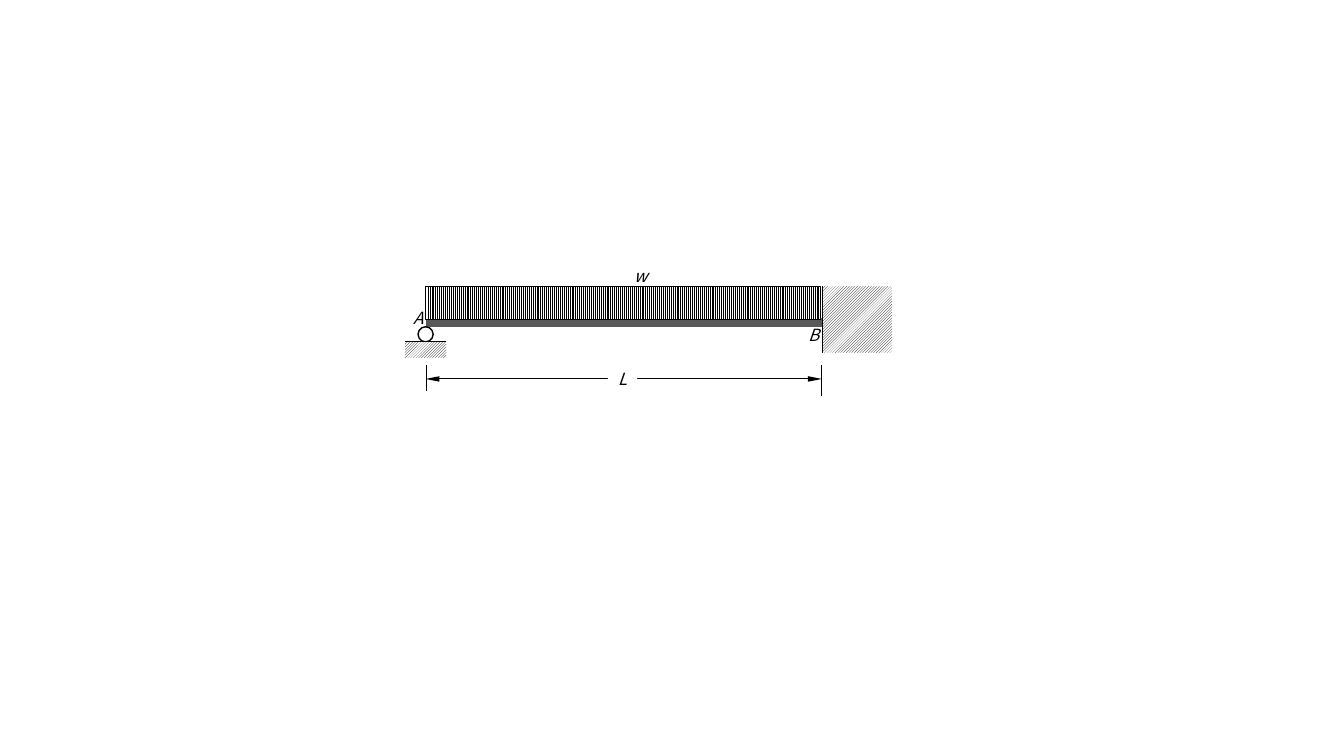
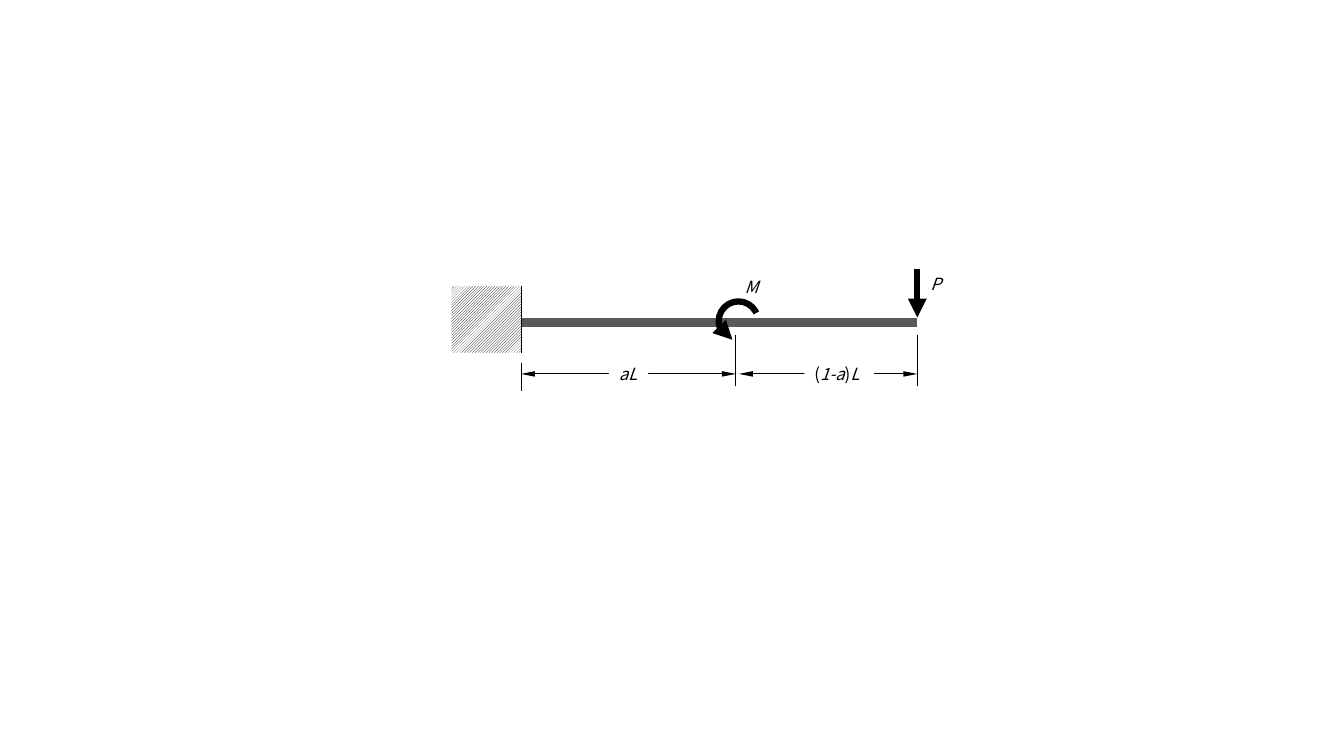
from itertools import groupby

from lxml import etree
from pptx import Presentation
from pptx.dml.color import RGBColor
from pptx.enum.dml import MSO_PATTERN as PATTERN
from pptx.enum.shapes import MSO_CONNECTOR, MSO_SHAPE as SHAPE
from pptx.enum.text import MSO_AUTO_SIZE as AUTO_SIZE
from pptx.oxml.ns import qn
from pptx.util import Pt

COLORS = {"ink": "000000", "paper": "FFFFFF", "beam": "595959"}
FONT = "Noto Sans CJK KR"
THIN, ROLLER, BEAM, LOAD = 0.75, 1, 6, 4.5
SPAN = 283
WALL_W, WALL_H, WALL_RISE = 49.7, 47.5, 25.9
LABEL_H = 21.6


def rgb(name):
    return RGBColor.from_string(COLORS[name])


def add_arrowheads(shape, ends, w="med", length="med"):
    """Put triangles on the named line ends ("headEnd", "tailEnd")."""
    ln = shape.line._get_or_add_ln()
    for end in ends:
        etree.SubElement(ln, qn(f"a:{end}"), type="triangle", w=w, len=length)


def add_line(shapes, x1, y1, x2, y2, width=THIN, color="ink"):
    line = shapes.add_connector(MSO_CONNECTOR.STRAIGHT, Pt(x1), Pt(y1), Pt(x2), Pt(y2))
    line.line.width = Pt(width)
    line.line.color.rgb = rgb(color)
    etree.SubElement(line.element.spPr, qn("a:effectLst"))
    return line


def add_box(shapes, kind, x, y, w, h, pattern=None, outline=None):
    sp = shapes.add_shape(kind, Pt(x), Pt(y), Pt(w), Pt(h))
    sp.shadow.inherit = False
    if pattern is None:
        sp.fill.solid()
        sp.fill.fore_color.rgb = rgb("paper")
    else:
        sp.fill.patterned()
        sp.fill.pattern = pattern
        sp.fill.fore_color.rgb = rgb("ink")
        sp.fill.back_color.rgb = rgb("paper")
    if outline is None:
        sp.line.fill.background()
    else:
        sp.line.color.rgb = rgb("ink")
        sp.line.width = Pt(outline)
    return sp


def add_text(shapes, text, x, y, w, size=12, color="ink", fill=None, wrap=True):
    """Add a label in italics, with its brackets upright."""
    sp = shapes.add_textbox(Pt(x), Pt(y), Pt(w), Pt(LABEL_H))
    if fill:
        sp.fill.solid()
        sp.fill.fore_color.rgb = rgb(fill)
    tf = sp.text_frame
    tf.word_wrap = wrap
    tf.auto_size = AUTO_SIZE.SHAPE_TO_FIT_TEXT
    p = tf.paragraphs[0]
    for upright, chars in groupby(text, key=lambda c: c in "()"):
        r = p.add_run()
        r.text = "".join(chars)
        r.font.name, r.font.size = FONT, Pt(size)
        r.font.italic = not upright
        r.font.color.rgb = rgb(color)


def draw_beam(shapes, x, y):
    add_line(shapes, x, y, x + SPAN, y, width=BEAM, color="beam")


def draw_wall(shapes, face, y, on_right):
    """Draw a fixed support whose face is at the given x, on beam axis y."""
    group = shapes.add_group_shape().shapes
    top = y - WALL_RISE
    add_box(group, SHAPE.RECTANGLE, face if on_right else face - WALL_W, top,
            WALL_W, WALL_H, pattern=PATTERN.LIGHT_UPWARD_DIAGONAL)
    add_line(group, face, top, face, top + WALL_H)


def draw_roller(shapes, x, y):
    """Draw a roller on hatched ground under the beam end at (x, y)."""
    size, ground_w, ground_h = 10.8, 29.5, 11.5
    top = y + 3
    add_box(shapes, SHAPE.OVAL, x - size / 2, top, size, size, outline=ROLLER)
    group = shapes.add_group_shape().shapes
    left, ground = x - ground_w / 2, top + size
    add_box(group, SHAPE.RECTANGLE, left, ground, ground_w, ground_h,
            pattern=PATTERN.LIGHT_UPWARD_DIAGONAL)
    add_line(group, left, ground, left + ground_w, ground)


def draw_dimension(shapes, x1, x2, y, text, label_x, label_w):
    line = add_line(shapes, x1, y, x2, y)
    add_arrowheads(line, ("headEnd", "tailEnd"), w="sm", length="lg")
    add_text(shapes, text, label_x, y - 10.5, label_w, fill="paper", wrap=False)


def draw_ticks(shapes, y, ticks):
    """Draw upright extension lines, each given as x, top and bottom from y."""
    for x, top, bottom in ticks:
        add_line(shapes, x, y + top, x, y + bottom)


def draw_moment(shapes, x, y, size):
    arc = add_box(shapes, SHAPE.ARC, x, y, size, size, outline=LOAD)
    arc.fill.background()
    arc.adjustments[0], arc.adjustments[1] = 122.6, 43.41
    arc.element.spPr.get_or_add_xfrm().set("flipH", "1")
    add_arrowheads(arc, ("tailEnd",))


def propped_beam(shapes, x, y):
    """Draw a beam from (x, y) on a roller and a wall, under a uniform load."""
    end = x + SPAN
    draw_wall(shapes, end + 0.5, y, on_right=True)
    draw_beam(shapes, x, y)
    draw_roller(shapes, x, y)
    draw_dimension(shapes, x, end, y + 40.3, "L", x + 130.2, 20.9)
    draw_ticks(shapes, y, [(x + 0.6, 30.2, 49), (end - 0.2, 30.2, 52.6)])
    add_text(shapes, "A", x - 16, y - 14.4, 22.3)
    add_text(shapes, "B", x + 266.2, y - 2.2, 22.3)
    add_box(shapes, SHAPE.RECTANGLE, x + 0.2, y - 25.6, SPAN - 0.8, 23.8,
            pattern=PATTERN.LIGHT_VERTICAL, outline=THIN)
    add_text(shapes, "w", x + 141.7, y - 43.9, 100.8)


def cantilever(shapes, x, y):
    """Draw a beam from a wall at (x, y), with a moment and an end force."""
    end, moment, dim_y = x + SPAN, x + 153.4, y + 36.7
    draw_beam(shapes, x, y)
    draw_wall(shapes, x, y, on_right=False)
    draw_dimension(shapes, x, moment, dim_y, "aL", x + 62.7, 28.1)
    draw_dimension(shapes, moment + 2.2, end, dim_y, "(1-a)L", x + 202.4, 49.7)
    draw_ticks(shapes, y, [(x, 28.8, 49), (moment, 8.9, 45.4), (end, 8.9, 45.4)])
    force = add_line(shapes, end, y - 38.2, end, y - 3.6, width=LOAD)
    add_arrowheads(force, ("tailEnd",))
    add_text(shapes, "P", end + 2.2, y - 38.2, 22.3, wrap=False)
    draw_moment(shapes, moment - 12.2, y - 15.1, 28.1)
    add_text(shapes, "M", moment - 0.7, y - 36, 25.9, wrap=False)


def main():
    prs = Presentation()
    prs.slide_width, prs.slide_height = Pt(960), Pt(540)
    for draw, x in ((propped_beam, 304), (cantilever, 372.2)):
        s = prs.slides.add_slide(prs.slide_layouts[6])
        draw(s.shapes, x, 230.4)
    prs.save("out.pptx")


if __name__ == "__main__":
    main()
